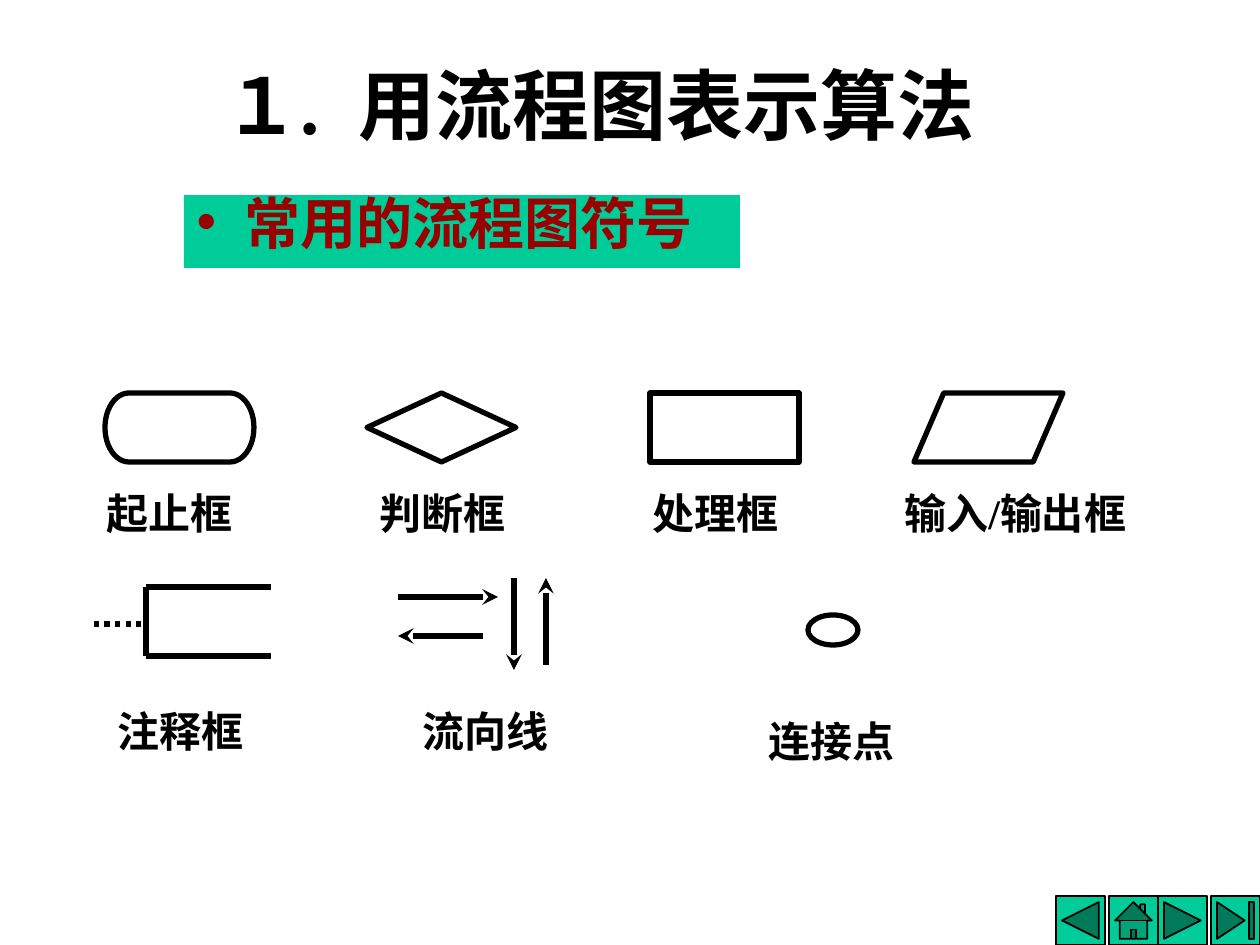
from pptx import Presentation
from pptx import util as u
from pptx.dml.color import RGBColor
from pptx.enum import dml, shapes, text
from pptx.oxml.ns import qn
from lxml import etree

SCALE = 914400 // 126
KIND = shapes.MSO_SHAPE
BLACK, GREEN, RED = "000000", "00CC99", "990000"


def px(length):
    """Turn whole pixels into EMU."""
    return u.Emu(length * SCALE)


def color(hex_string):
    """Turn a hex string into a colour."""
    return RGBColor.from_string(hex_string)


class Sheet:
    """Holds the style and the current slide."""

    font = "Times New Roman"
    stroke = 3

    def __init__(self, page):
        """Keep the slide to draw on."""
        self.page = page

    def place(self, box, left, top, width, height):
        """Move and size a placeholder."""
        box.left, box.top = px(left), px(top)
        box.width, box.height = px(width), px(height)
        box.text_frame.auto_size = text.MSO_AUTO_SIZE.NONE

    def add_span(self, para, words, size, ink=BLACK, spacing=0):
        """Add one bold run, with optional letter spacing in points."""
        span = para.add_run()
        span.text = words
        span.font.name, span.font.size, span.font.bold = self.font, u.Pt(size), True
        span.font.color.rgb = color(ink)
        if spacing:
            span._r.get_or_add_rPr().set("spc", str(spacing * 100))

    def title(self, pieces, *area):
        """Fill the title with (words, spacing) pieces."""
        box = self.page.shapes.title
        self.place(box, *area)
        box.text_frame.vertical_anchor = text.MSO_ANCHOR.MIDDLE
        para = box.text_frame.paragraphs[0]
        para.alignment = text.PP_ALIGN.CENTER
        for words, spacing in pieces:
            self.add_span(para, words, 44, spacing=spacing)

    def bullet(self, words, *area):
        """Fill the body with one bullet on a green band."""
        box = self.page.placeholders[1]
        self.place(box, *area)
        box.fill.solid()
        box.fill.fore_color.rgb = color(GREEN)
        box.text_frame.vertical_anchor = text.MSO_ANCHOR.TOP
        para = box.text_frame.paragraphs[0]
        para.line_spacing, para.space_before = 0.8, u.Pt(0)
        props = para._p.get_or_add_pPr()
        props.set("marL", str(px(48)))
        props.set("indent", str(px(-48)))
        etree.SubElement(props, qn("a:buChar")).set("char", "•")
        self.add_span(para, words, 32, RED)

    def shape(self, kind, left, top, width, height, fill=None, stroke=stroke):
        """Draw a black-outlined preset shape."""
        box = self.page.shapes.add_shape(kind, px(left), px(top), px(width), px(height))
        box.shadow.inherit = False
        if fill:
            box.fill.solid()
            box.fill.fore_color.rgb = color(fill)
        else:
            box.fill.background()
        box.line.color.rgb, box.line.width = color(BLACK), u.Pt(stroke)

    def label(self, words, left, top, width):
        """Add a symbol's name."""
        box = self.page.shapes.add_textbox(px(left), px(top), px(width), px(63))
        box.text_frame.word_wrap = True
        box.text_frame.auto_size = text.MSO_AUTO_SIZE.SHAPE_TO_FIT_TEXT
        self.add_span(box.text_frame.paragraphs[0], words, 24)

    def line(self, x1, y1, x2, y2, arrow=False, dotted=False):
        """Draw a straight line, with an arrowhead or dots on request."""
        link = self.page.shapes.add_connector(
            shapes.MSO_CONNECTOR.STRAIGHT, px(x1), px(y1), px(x2), px(y2))
        link.line.color.rgb, link.line.width = color(BLACK), u.Pt(self.stroke)
        if dotted:
            link.line.dash_style = dml.MSO_LINE.ROUND_DOT
        props = link._element.spPr
        if arrow:
            etree.SubElement(props.find(qn("a:ln")), qn("a:tailEnd")).set("type", "stealth")
        etree.SubElement(props, qn("a:effectLst"))


deck = Presentation()
deck.slide_width, deck.slide_height = u.Inches(10), u.Inches(7.5)
sheet = Sheet(deck.slides.add_slide(deck.slide_layouts[1]))

sheet.title([("１.", 0), (" ", 11), ("用流程图表示算法", 0)], 64, 45, 1071, 118)
sheet.bullet("常用的流程图符号", 184, 195, 556, 73)

for kind, left in [
    (KIND.ACTION_BUTTON_BACK_OR_PREVIOUS, 1056),
    (KIND.ACTION_BUTTON_HOME, 1109),
    (KIND.ACTION_BUTTON_FORWARD_OR_NEXT, 1158),
    (KIND.ACTION_BUTTON_END, 1211),
]:
    sheet.shape(kind, left, 896, 49, 49, GREEN, 1)

for kind, left in [
    (KIND.FLOWCHART_TERMINATOR, 105),
    (KIND.FLOWCHART_DECISION, 367),
    (KIND.FLOWCHART_PROCESS, 650),
    (KIND.FLOWCHART_DATA, 914),
]:
    sheet.shape(kind, left, 393, 149, 69)
sheet.shape(KIND.FLOWCHART_CONNECTOR, 808, 615, 50, 30)

for words, left, top, width in [
    ("起止框", 94, 481, 179),
    ("判断框", 367, 481, 199),
    ("处理框", 640, 481, 168),
    ("输入/输出框", 892, 481, 262),
    ("注释框", 105, 699, 179),
    ("流向线", 410, 699, 189),
    ("连接点", 756, 709, 242),
]:
    sheet.label(words, left, top, width)

note_left, note_right, note_top, note_bottom = 146, 271, 587, 656
for edge in (note_top, note_bottom):
    sheet.line(note_left, edge, note_right, edge)
sheet.line(note_left, note_top, note_left, note_bottom)
sheet.line(94, 624, 144, 624, dotted=True)

for ends in [(398, 597, 498, 597), (514, 578, 514, 670),
             (483, 636, 398, 636), (546, 665, 546, 578)]:
    sheet.line(*ends, arrow=True)

deck.save("out.pptx")
